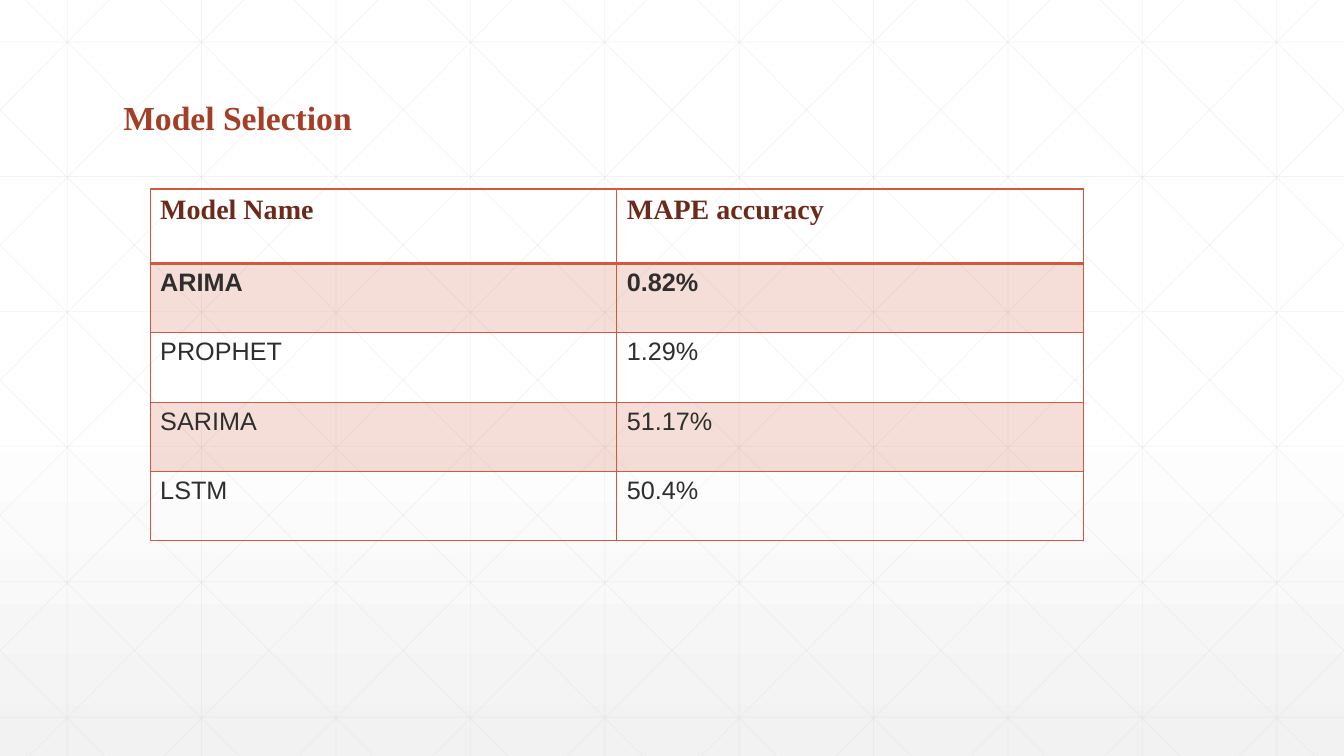
from copy import deepcopy

from lxml import etree
from pptx import Presentation, util as u
from pptx.dml.color import RGBColor
from pptx.enum import shapes
from pptx.oxml.ns import qn

PX = 9525  # EMU per px, 96 px to the inch
WIDTH, HEIGHT = 1280, 720
COLORS = {
    "white": "FFFFFF", "shade": "F2F2F2", "grid": "D9D9D9", "title": "A43F27",
    "header": "6D2A1A", "body": "2D2E2D", "accent": "D15A3E",
}
SERIF, SANS = "Times New Roman", "Arial"
ROWS = [
    ("Model Name", "MAPE accuracy"),
    ("ARIMA", "0.82%"),
    ("PROPHET", "1.29%"),
    ("SARIMA", "51.17%"),
    ("LSTM", "50.4%"),
]


def px(n):
    return u.Emu(round(n * PX))


def rgb(name):
    return RGBColor.from_string(COLORS[name])


def set_alpha(element, percent):
    """Make the first RGB colour inside the element partly transparent."""
    color = next(element.iter(qn("a:srgbClr")))
    etree.SubElement(color, qn("a:alpha")).set("val", str(percent * 1000))


def style_text(tf, value, font, size, color, bold):
    tf.text = value
    r = tf.paragraphs[0].runs[0]
    r.font.name, r.font.size, r.font.bold = font, u.Pt(size), bold
    r.font.color.rgb = rgb(color)


def paint_background(slide):
    fill = slide.background.fill
    fill.gradient()
    fill.gradient_angle = 270
    stops = next(slide.element.iter(qn("a:gsLst")))
    stops.append(deepcopy(stops[-1]))
    places = [(0, "white"), (0.53, "white"), (1, "shade")]
    for stop, (position, color) in zip(fill.gradient_stops, places):
        stop.position = position
        stop.color.rgb = rgb(color)


def add_grid_line(slide, x1, y1, x2, y2):
    line = slide.shapes.add_connector(
        shapes.MSO_CONNECTOR.STRAIGHT, px(x1), px(y1), px(x2), px(y2))
    line.line.width = u.Pt(0.5)
    line.line.color.rgb = rgb("grid")
    props = line.element.spPr
    set_alpha(props, 30)
    etree.SubElement(props, qn("a:effectLst"))


def draw_grid(slide, width, height):
    """Draw the lattice: verticals, horizontals and mirrored diagonals."""
    step, run = 128, 716
    for i in range(10):
        x = step // 2 + i * step
        add_grid_line(slide, x, 0, x, height)
    for i in range(6):
        y = 40 + 643 * i // 5
        add_grid_line(slide, 0, y, width, y)
    slope = height / run
    for i in range(-5, 10):
        start = 24 + i * step
        x1, x2 = max(start, 0), min(start + run, width)
        y1, y2 = (x1 - start) * slope, (x2 - start) * slope
        add_grid_line(slide, x1, y1, x2, y2)
        add_grid_line(slide, width - x1, y1, width - x2, y2)


def add_title(slide, x, y, w, h):
    box = slide.shapes.add_textbox(px(x), px(y), px(w), px(h))
    box.text_frame.word_wrap = True
    style_text(box.text_frame, "Model Selection", SERIF, 24, "title", True)


def set_border(cell, side, points):
    ln = etree.SubElement(cell._tc.get_or_add_tcPr(), qn("a:" + side),
                          w=str(u.Pt(points)))
    fill = etree.SubElement(ln, qn("a:solidFill"))
    etree.SubElement(fill, qn("a:srgbClr"), val=COLORS["accent"])


def style_cell(cell, row, value):
    header, banded = row == 0, row % 2 == 1
    for side in ("lnL", "lnR", "lnT", "lnB"):
        thick = (row, side) in [(0, "lnB"), (1, "lnT")]
        set_border(cell, side, 2 if thick else 1)
    if banded:
        cell.fill.solid()
        cell.fill.fore_color.rgb = rgb("accent")
        set_alpha(cell._tc.tcPr.find(qn("a:solidFill")), 20)
    else:
        cell.fill.background()
    if header:
        style_text(cell.text_frame, value, SERIF, 20, "header", True)
    else:
        style_text(cell.text_frame, value, SANS, 18, "body", row == 1)


def add_model_table(slide, x, y, w, h):
    header_h = 71
    row_h = (h - header_h) // (len(ROWS) - 1)
    frame = slide.shapes.add_table(len(ROWS), 2, px(x), px(y), px(w), px(h))
    table = frame.table
    for column in table.columns:
        column.width = px(w / 2)
    for i, values in enumerate(ROWS):
        table.rows[i].height = px(row_h if i else header_h)
        for j, value in enumerate(values):
            style_cell(table.cell(i, j), i, value)


def main():
    prs = Presentation()
    prs.slide_width, prs.slide_height = px(WIDTH), px(HEIGHT)
    slide = prs.slides.add_slide(prs.slide_layouts[6])
    paint_background(slide)
    draw_grid(slide, WIDTH, HEIGHT)
    add_title(slide, 108, 88, 240, 48)
    add_model_table(slide, 143, 180, 889, 335)
    prs.save("out.pptx")


if __name__ == "__main__":
    main()
